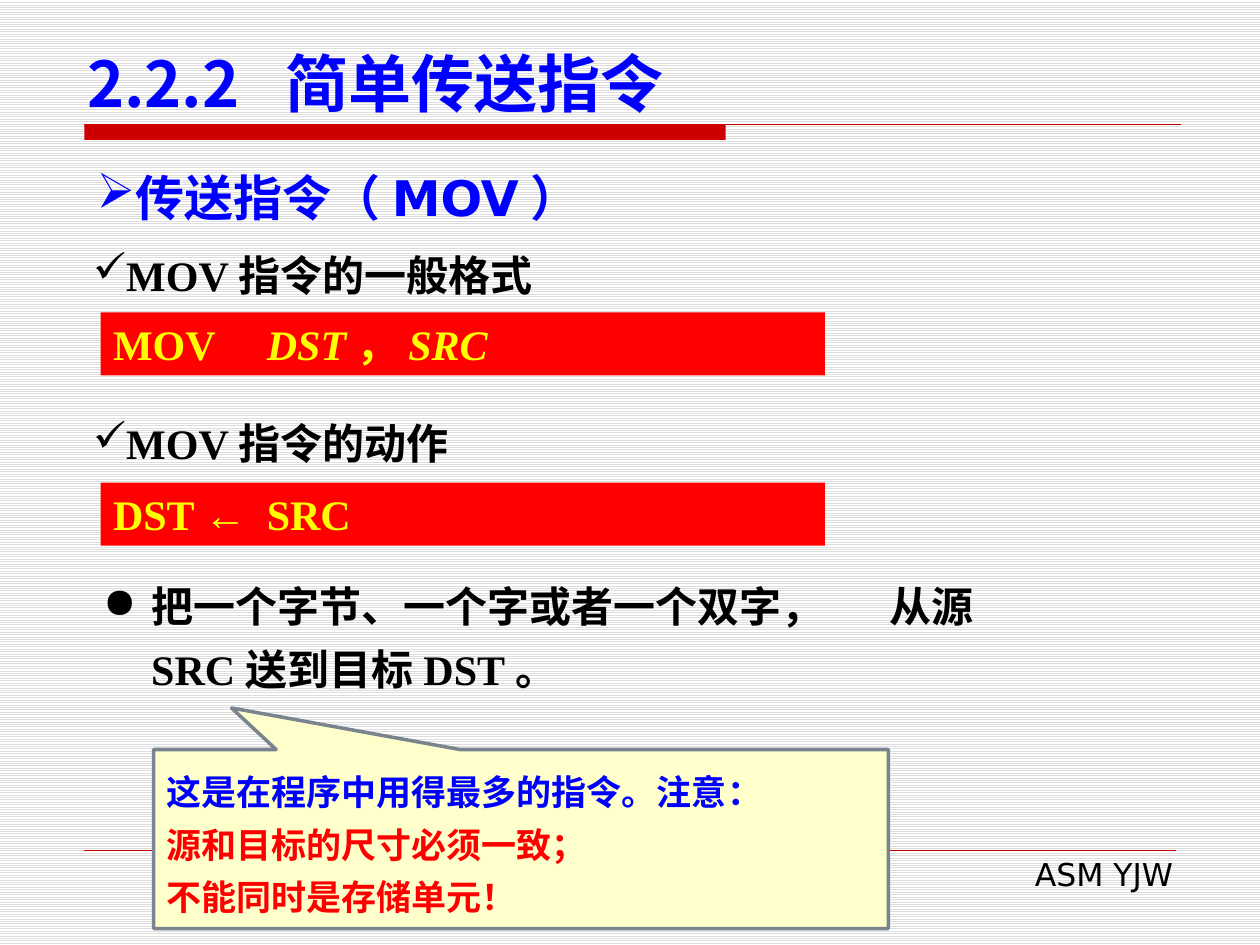
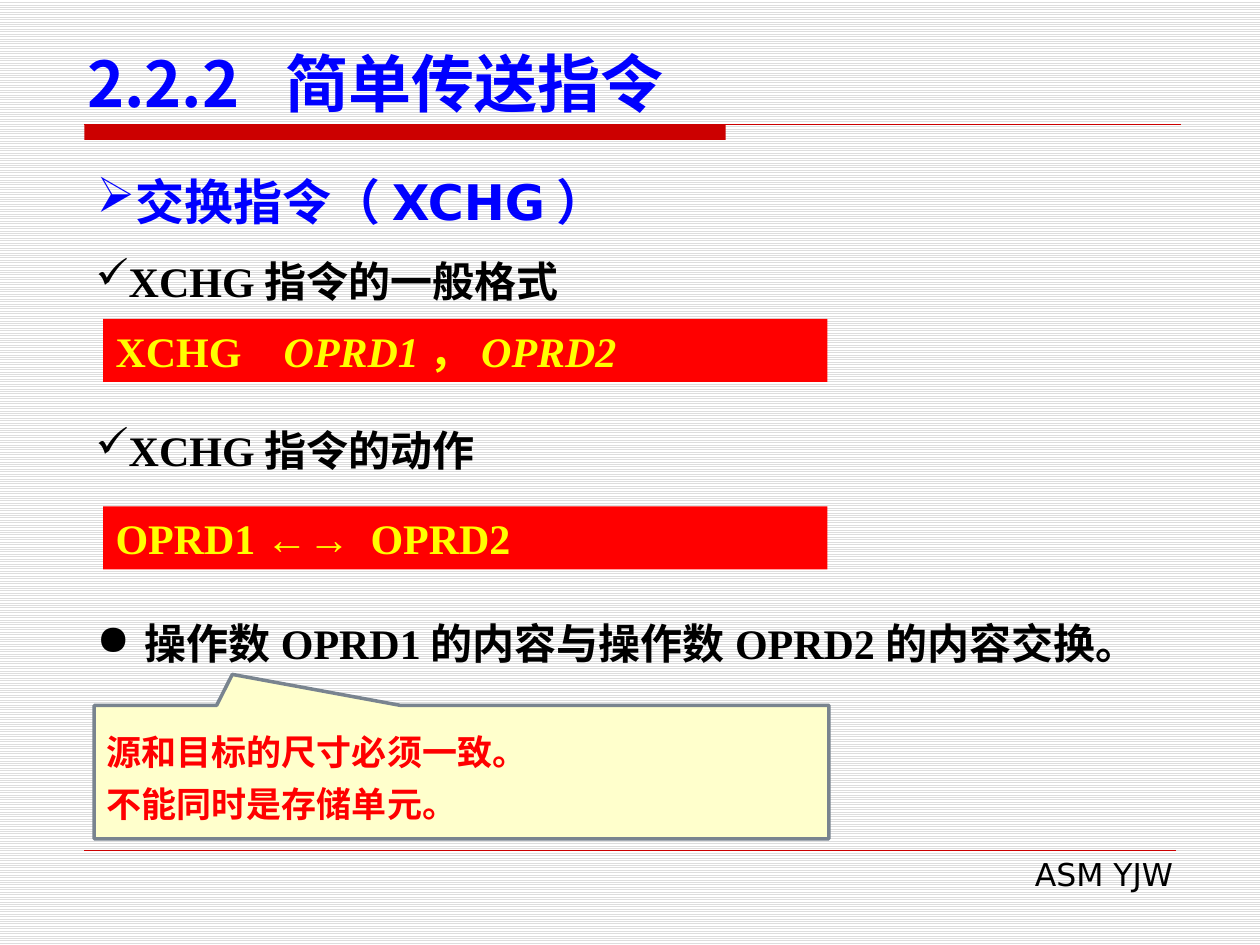
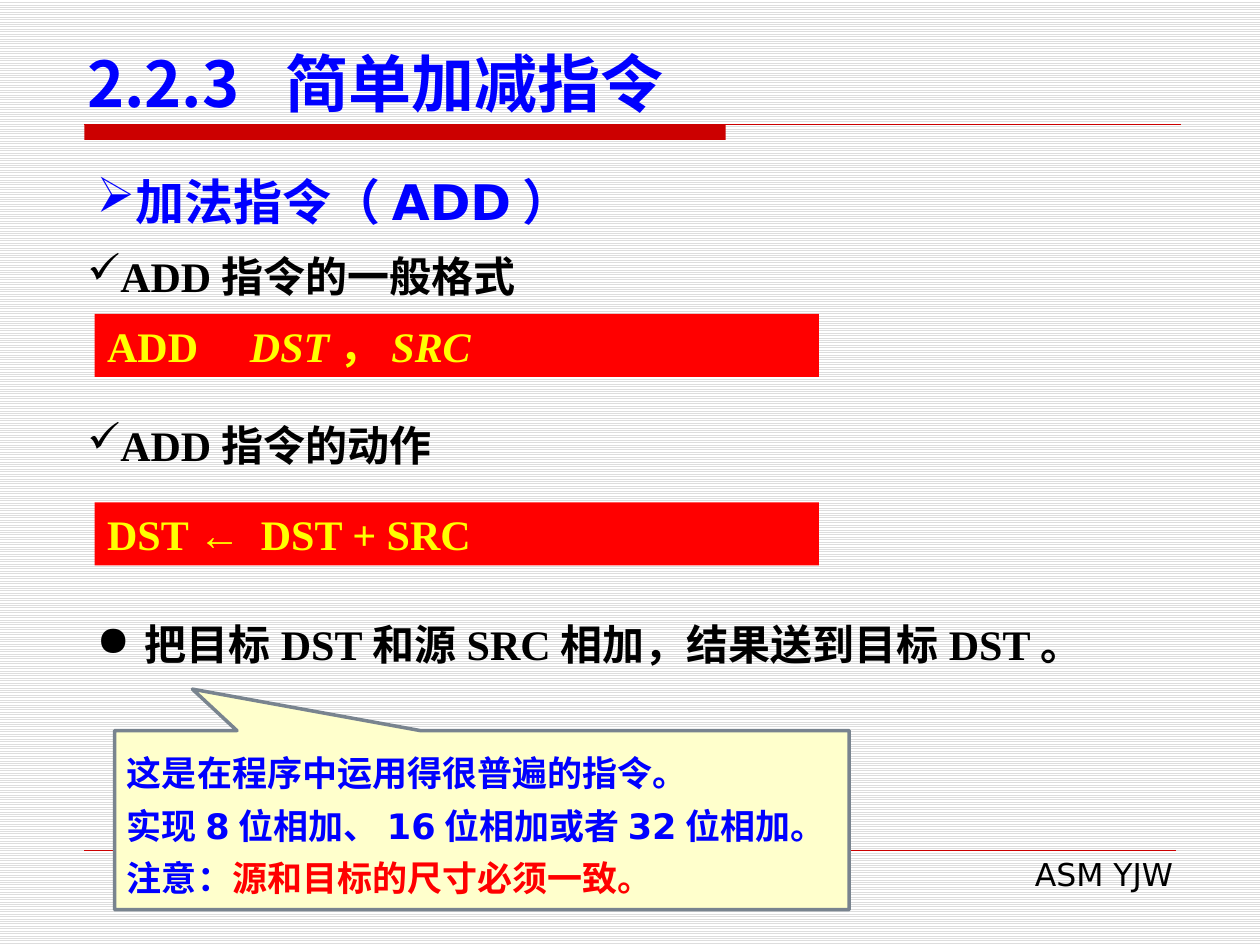
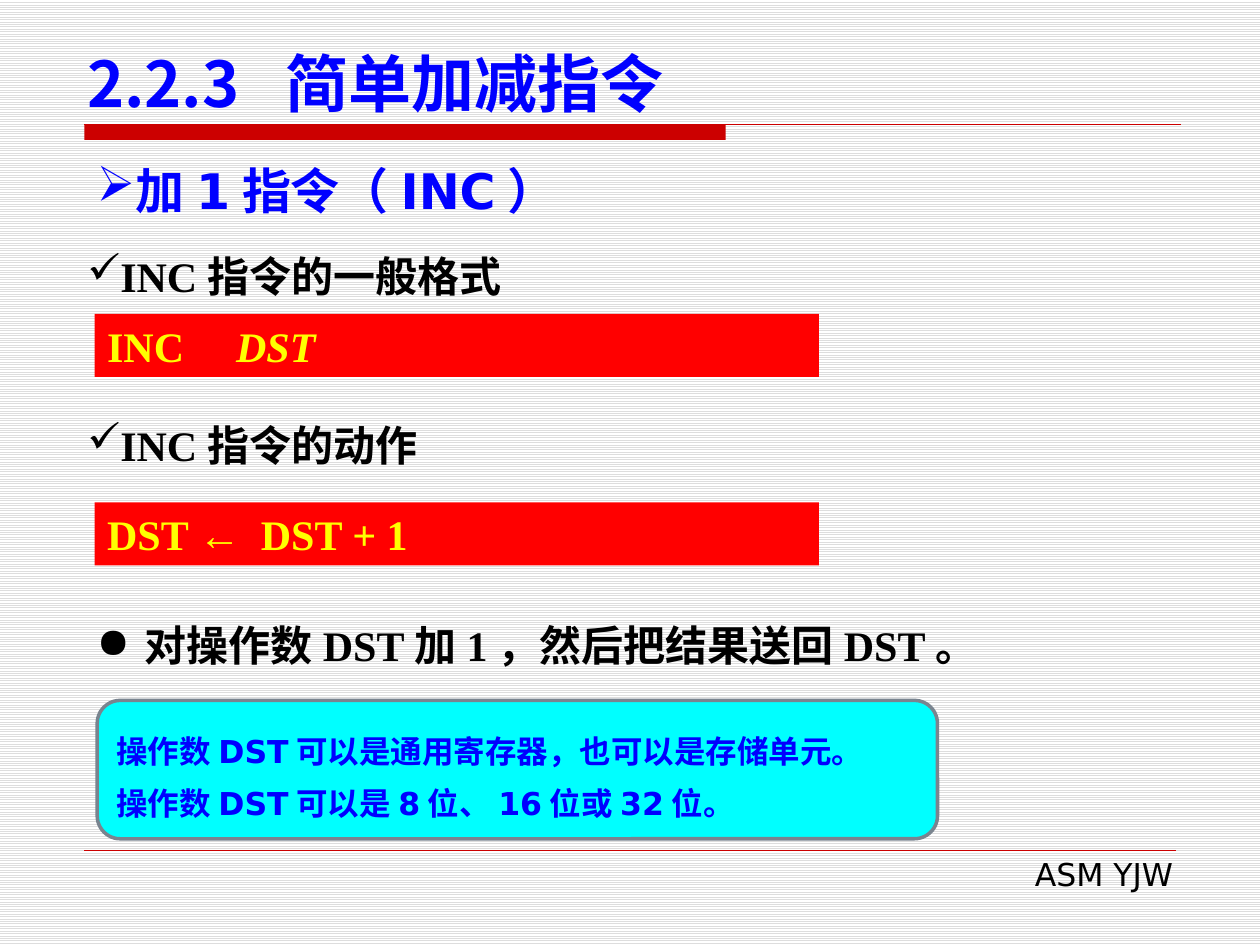
from dataclasses import dataclass
from typing import NamedTuple

from pptx import Presentation
from pptx.dml.color import RGBColor
from pptx.enum.dml import MSO_PATTERN
from pptx.enum.shapes import MSO_CONNECTOR, MSO_SHAPE
from pptx.enum.text import MSO_ANCHOR, MSO_AUTO_SIZE, PP_ALIGN
from pptx.oxml.ns import qn
from pptx.util import Cm, Pt
from lxml.etree import SubElement

LEFT, RIGHT, JUSTIFY = PP_ALIGN.LEFT, PP_ALIGN.RIGHT, PP_ALIGN.JUSTIFY
TOP, MIDDLE, BOTTOM = MSO_ANCHOR.TOP, MSO_ANCHOR.MIDDLE, MSO_ANCHOR.BOTTOM
FIXED, GROW = MSO_AUTO_SIZE.NONE, MSO_AUTO_SIZE.SHAPE_TO_FIT_TEXT
STRAIGHT = MSO_CONNECTOR.STRAIGHT
RECT, ROUND = MSO_SHAPE.RECTANGLE, MSO_SHAPE.ROUNDED_RECTANGLE
CALLOUT = MSO_SHAPE.RECTANGULAR_CALLOUT
STRIPES = MSO_PATTERN.LIGHT_HORIZONTAL


@dataclass(frozen=True)
class Theme:
    black: str = "000000"
    white: str = "FFFFFF"
    stripe: str = "DDDDDD"
    rule: str = "CC0000"
    blue: str = "0000FF"
    red: str = "FF0000"
    yellow: str = "FFFF00"
    cream: str = "FFFFCC"
    cyan: str = "00FFFF"
    edge: str = "79848F"
    sans: str = "DejaVu Sans"
    serif: str = "Times New Roman"
    asian: str = "Noto Sans CJK SC"
    title: int = 36
    head: int = 28
    body: int = 24
    note: int = 20
    small: int = 18


THEME = Theme()


class Run(NamedTuple):
    text: str
    color: str | None = None
    slant: bool = False


class Box(NamedTuple):
    """Left, top, width and height in centimetres."""
    left: float
    top: float
    width: float
    height: float


Line = tuple[Run, ...]


@dataclass(frozen=True)
class Bar:
    runs: Line
    stop: float  # tab stop in centimetres


@dataclass(frozen=True)
class Note:
    box: Box
    lines: tuple[Line, ...]
    kind: int = CALLOUT
    fill: str = THEME.cream
    size: int = THEME.note
    tip: tuple[float, float] | None = None


@dataclass(frozen=True)
class Page:
    title: str
    head: str
    head_top: float
    name: str
    left: float  # left edge of the red bars
    top: float  # top of the first check line
    form: Bar
    act: Bar
    act_top: float
    body: str
    body_box: Box
    note: Note
    pitch: int = 36


def rgb(code: str) -> RGBColor:
    return RGBColor.from_string(code)


def place(shape, box: Box) -> None:
    shape.left, shape.top, shape.width, shape.height = map(Cm, box)


def write(shape, *lines: Line, size: int, color: str = THEME.black,
          font: str = THEME.sans, bold: bool = True, align: int = LEFT,
          anchor: int = TOP, fit: int = GROW, before: float = 0,
          pitch: int | None = None, bullet: str | None = None,
          indent: float = 0, stop: float | None = None) -> None:
    frame = shape.text_frame
    frame.word_wrap, frame.auto_size = True, fit
    frame.vertical_anchor = anchor
    for index, line in enumerate(lines):
        para = frame.add_paragraph() if index else frame.paragraphs[0]
        para.alignment = align
        para.space_before = Pt(before)
        if pitch:
            para.line_spacing = Pt(pitch)
        props = para._p.get_or_add_pPr()
        if indent:
            props.set("marL", str(Cm(indent)))
            props.set("indent", str(-Cm(indent)))
        if bullet:
            SubElement(props, qn("a:buChar"), char=bullet)
        if stop:
            tabs = SubElement(props, qn("a:tabLst"))
            SubElement(tabs, qn("a:tab"), pos=str(Cm(stop)), algn="l")
        for part in line:
            run = para.add_run()
            run.text = part.text
            run.font.size, run.font.bold = Pt(size), bold
            run.font.italic = part.slant
            run.font.color.rgb = rgb(part.color or color)
            run.font.name = font
            SubElement(run._r.get_or_add_rPr(), qn("a:ea"),
                       typeface=THEME.asian)


def add_text(slide, box: Box, *lines: Line, **style):
    shape = slide.shapes.add_textbox(*map(Cm, box))
    write(shape, *lines, **style)
    place(shape, box)
    return shape


def add_block(slide, kind: int, box: Box, fill: str, edge: str | None = None):
    shape = slide.shapes.add_shape(kind, *map(Cm, box))
    shape.shadow.inherit = False
    shape.fill.solid()
    shape.fill.fore_color.rgb = rgb(fill)
    if edge:
        shape.line.color.rgb = rgb(edge)
        shape.line.width = Pt(2)
    else:
        shape.line.fill.background()
    return shape


def add_rule(slide, top: float, right: float, width: float):
    line = slide.shapes.add_connector(
        STRAIGHT, Cm(1.7), Cm(top), Cm(right), Cm(top))
    line.line.color.rgb = rgb(THEME.rule)
    line.line.width = Pt(width)
    SubElement(line.element.spPr, qn("a:effectLst"))
    return line


def dress(layout, slide) -> None:
    """Draw the shared frame on a slide, then move it into the layout."""
    for holder in list(layout.placeholders)[1:]:
        holder.element.getparent().remove(holder.element)
    parts = (
        add_block(slide, RECT, Box(1.7, 2.51, 12.93, 0.31), THEME.rule),
        add_rule(slide, 2.51, 23.8, 0.75),
        add_rule(slide, 17.14, 23.7, 0.25),
        add_text(slide, Box(9.7, 17.12, 14.2, 1.02), (Run("ASM YJW"),),
                 size=THEME.small, bold=False, align=RIGHT, before=9),
    )
    for part in parts:
        layout.element.cSld.spTree.append(part.element)


def add_pair(slide, page: Page, label: str, top: float,
             bar: Bar, bar_top: float) -> None:
    """Add a check line and the red bar below it."""
    style = dict(size=THEME.body, font=THEME.serif, before=12)
    add_text(slide, Box(page.left - 0.4, top, 18.62, 1.27),
             (Run(page.name + label),), bullet="✓", **style)
    box = Box(page.left, bar_top, 14.6, 1.27)
    block = add_block(slide, RECT, box, THEME.red)
    write(block, bar.runs, color=THEME.yellow, stop=bar.stop, **style)


def add_note(slide, note: Note) -> None:
    shape = add_block(slide, note.kind, note.box, note.fill, THEME.edge)
    if note.tip:
        shape.adjustments[0], shape.adjustments[1] = note.tip
    write(shape, *note.lines, size=note.size, color=THEME.blue,
          anchor=MIDDLE, fit=FIXED, pitch=30)


def fill_page(slide, page: Page) -> None:
    title = slide.shapes.title
    place(title, Box(1.5, 0.74, 23, 1.8))
    write(title, (Run(page.title),), size=THEME.title, color=THEME.blue,
          font=THEME.asian, anchor=BOTTOM, fit=FIXED, stop=4)
    add_pair(slide, page, "指令的一般格式", page.top, page.form, page.top + 1.4)
    add_pair(slide, page, "指令的动作", page.top + 3.4, page.act, page.act_top)
    add_text(slide, page.body_box, (Run(page.body),), size=THEME.body,
             font=THEME.serif, before=12, pitch=page.pitch, bullet="●",
             indent=0.97, stop=15.85)
    add_text(slide, Box(1.7, page.head_top, 22, 1.44), (Run(page.head),),
             size=THEME.head, color=THEME.blue, align=JUSTIFY, before=14,
             bullet="➢")
    add_note(slide, page.note)


def form(name: str, *names: str, stop: float) -> Bar:
    """Make an instruction followed by its slanted operands."""
    runs = [Run(name + "\t")]
    for index, word in enumerate(names):
        if index:
            runs.append(Run("，"))
        runs.append(Run(word, slant=True))
    return Bar(tuple(runs), stop)


def act(text: str, stop: float = 3.1) -> Bar:
    return Bar((Run(text),), stop)


MOVES = "2.2.2\t简单传送指令"
SUMS = "2.2.3\t简单加减指令"
TIP = (-0.394, -0.732)

PAGES = (
    Page(MOVES, "传送指令（MOV）", 3.25, "MOV", 2.03, 4.9,
         form("MOV", "DST", "SRC", stop=3.1),
         act("DST ←\tSRC"), 9.73,
         "把一个字节、一个字或者一个双字，\t从源SRC送到目标DST。",
         Box(1.83, 11.33, 18.44, 2.82),
         Note(Box(3.1, 15.11, 14.81, 3.61), (
             (Run("这是在程序中用得最多的指令。注意："),),
             (Run("源和目标的尺寸必须一致；", THEME.red),),
             (Run("不能同时是存储单元！", THEME.red),)), tip=TIP)),
    Page(MOVES, "交换指令（XCHG）", 3.33, "XCHG", 2.08, 5.03,
         form("XCHG", "OPRD1", "OPRD2", stop=3.39),
         act("OPRD1 ←→\tOPRD2", 5.14), 10.21,
         "操作数OPRD1的内容与操作数OPRD2的内容交换。",
         Box(1.7, 12.07, 22, 1.55),
         Note(Box(1.9, 14.22, 14.81, 2.69), (
             (Run("源和目标的尺寸必须一致。", THEME.red),),
             (Run("不能同时是存储单元。", THEME.red),)),
             tip=(-0.312, -0.732))),
    Page(SUMS, "加法指令（ADD）", 3.33, "ADD", 1.91, 4.93,
         form("ADD", "DST", "SRC", stop=2.88),
         act("DST ←\tDST + SRC"), 10.13,
         "把目标DST和源SRC相加，结果送到目标DST。",
         Box(1.7, 12.12, 23.06, 1.5),
         Note(Box(2.31, 14.73, 14.81, 3.61), (
             (Run("这是在程序中运用得很普遍的指令。"),),
             (Run("实现8位相加、16位相加或者32位相加。"),),
             (Run("注意："), Run("源和目标的尺寸必须一致。", THEME.red))),
             tip=TIP), pitch=35),
    Page(SUMS, "加1指令（INC）", 3.12, "INC", 1.91, 4.93,
         form("INC", "DST", stop=2.6),
         act("DST ←\tDST + 1"), 10.13,
         "对操作数DST加1，然后把结果送回DST。",
         Box(1.7, 12.12, 23.06, 1.55),
         Note(Box(1.96, 14.12, 16.94, 2.79), (
             (Run("操作数DST可以是通用寄存器，也可以是存储单元。"),),
             (Run("操作数DST可以是8位、16位或32位。"),)),
             kind=ROUND, fill=THEME.cyan, size=THEME.small)),
)


def main() -> None:
    deck = Presentation()
    deck.slide_width, deck.slide_height = Cm(25.4), Cm(19.05)
    back = deck.slide_master.background.fill
    back.patterned()
    back.pattern = STRIPES
    back.fore_color.rgb = rgb(THEME.stripe)
    back.back_color.rgb = rgb(THEME.white)
    layout = deck.slide_layouts.get_by_name("Title Only")
    for index, page in enumerate(PAGES):
        slide = deck.slides.add_slide(layout)
        if not index:
            dress(layout, slide)
        fill_page(slide, page)
    deck.save("out.pptx")


if __name__ == "__main__":
    main()
